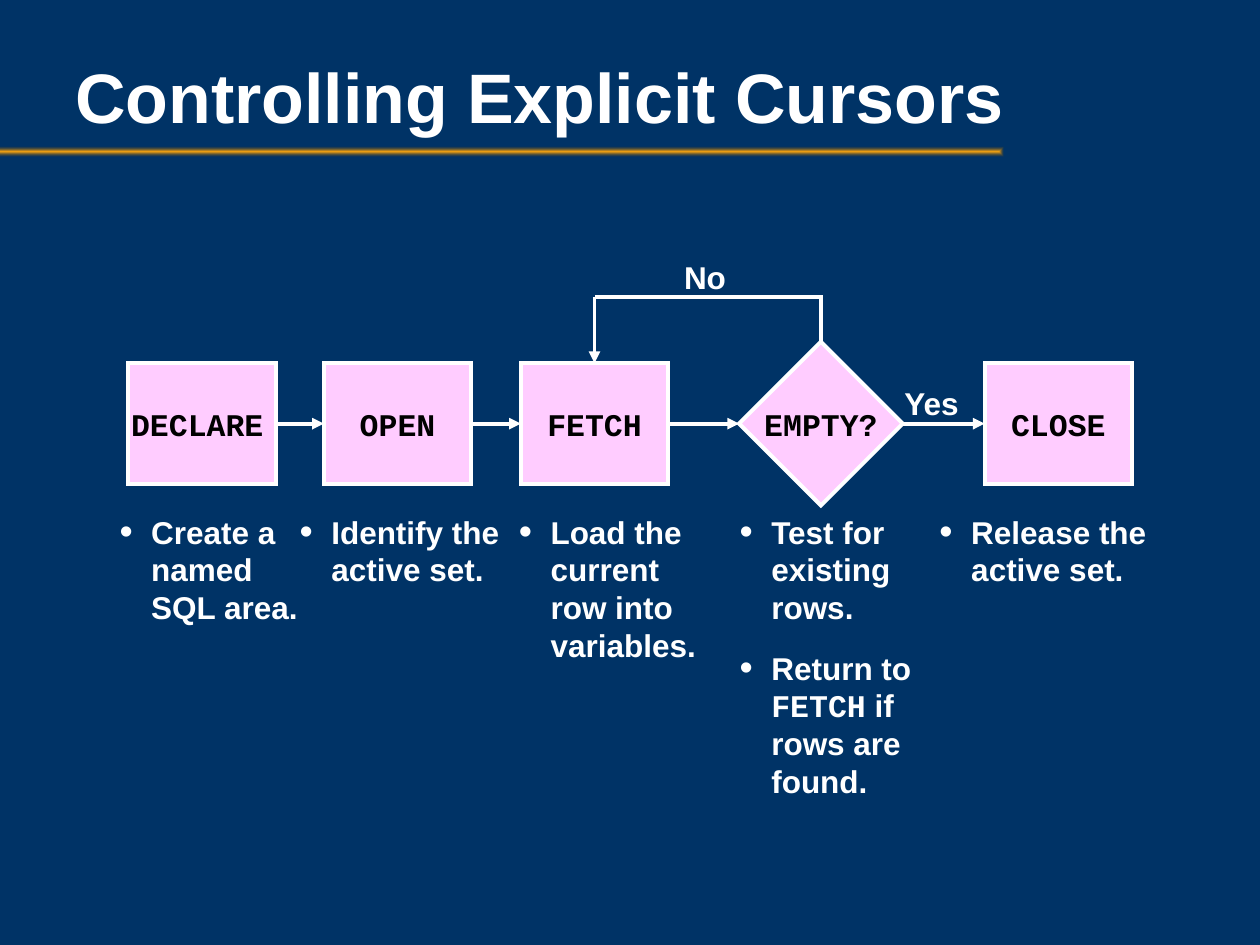
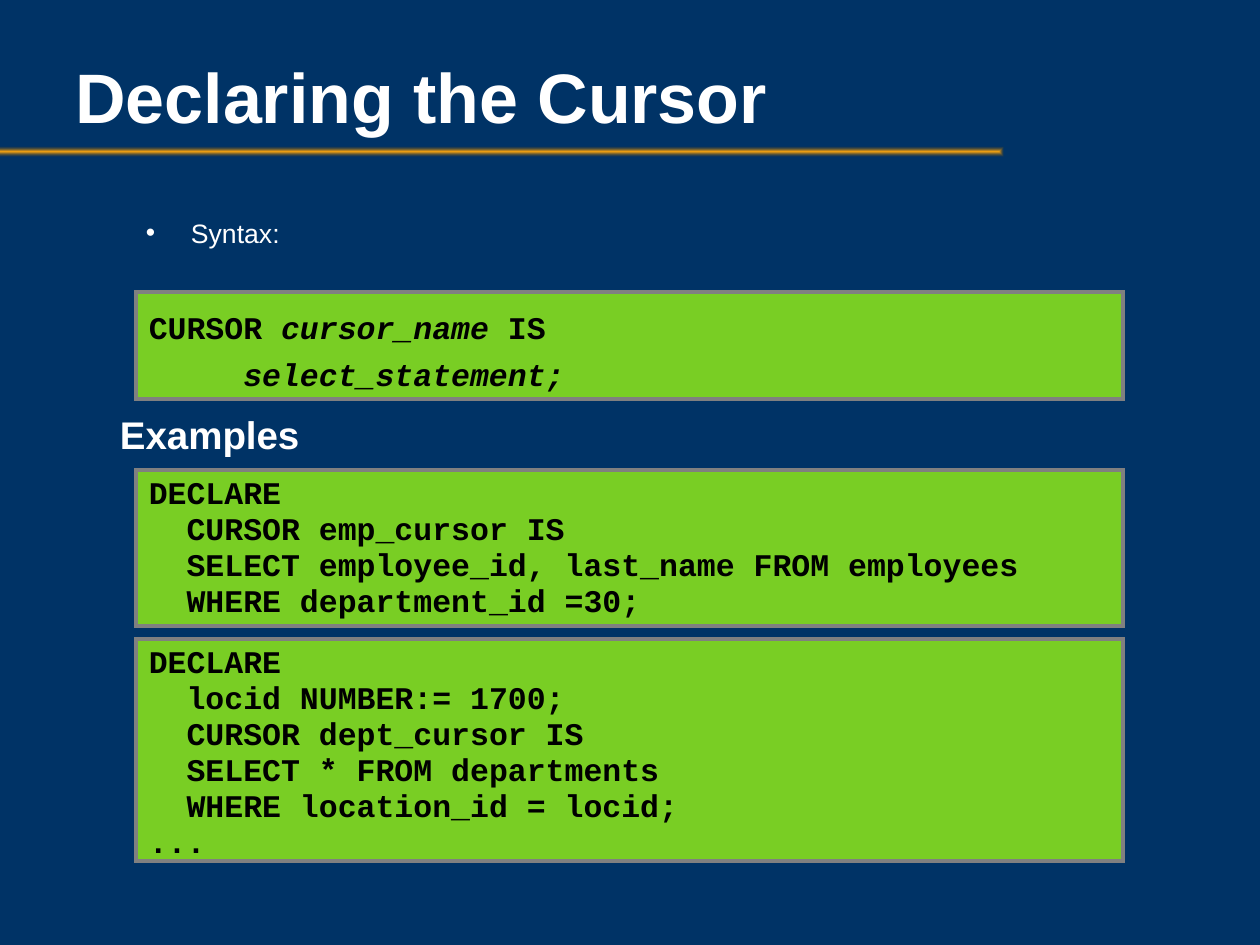
import pptx
import pptx.dml.color
import pptx.enum.shapes
import pptx.enum.text
import pptx.oxml
import pptx.oxml.ns
import pptx.util
from pptx.util import Cm

COLORS = {
    "navy": "003366",
    "white": "FFFFFF",
    "black": "000000",
    "pink": "FFCCFF",
    "green": "79CE24",
    "gray": "808080",
    "gold": "FAA712",
    "bronze": "744D08",
}
SANS, MONO = "Arial", "Courier New"
SHAPES = pptx.enum.shapes.MSO_SHAPE
ALIGN = pptx.enum.text.PP_ALIGN
MIDDLE = pptx.enum.text.MSO_ANCHOR.MIDDLE

STEP_TOP, STEP_WIDTH, STEP_HEIGHT = 7.32, 2.97, 2.44
DIAMOND_LEFT, DIAMOND_SIZE = 14.9, 3.3
FLOW_MIDDLE = STEP_TOP + STEP_HEIGHT / 2
NOTE_TOP = 10.21


def rgb(name):
    """Return the named colour."""
    return pptx.dml.color.RGBColor.from_string(COLORS[name])


def add_xml(parent, markup):
    """Append an element of the drawing namespace."""
    tag, rest = markup.split(" ", 1)
    namespace = pptx.oxml.ns.nsdecls("a")
    parent.append(pptx.oxml.parse_xml(f"<a:{tag} {namespace} {rest}"))


def style_line(line, color):
    """Give a line its colour, width and sharp corners."""
    line.color.rgb = rgb(color)
    line.width = pptx.util.Pt(2.25)
    add_xml(line._get_or_add_ln(), 'miter lim="800000"/>')


def style_para(para, size, font=SANS, color="white", bold=True):
    """Format every run of a paragraph."""
    for span in para.runs:
        span.font.size = pptx.util.Pt(size)
        span.font.name = font
        span.font.bold = bold
        span.font.color.rgb = rgb(color)


def add_spans(para, spans):
    """Add several runs to a paragraph and return them."""
    runs = [para.add_run() for _ in spans]
    for run, text in zip(runs, spans):
        run.text = text
    return runs


def add_bullet(para, margin, hanging, percent):
    """Give a paragraph a hanging white bullet."""
    props = para._p.get_or_add_pPr()
    props.set("marL", str(Cm(margin)))
    props.set("indent", str(-Cm(hanging)))
    add_xml(props, f'buClr ><a:srgbClr val="{COLORS["white"]}"/></a:buClr>')
    add_xml(props, f'buSzPct val="{percent * 1000}"/>')
    add_xml(props, 'buFont typeface="Arial"/>')
    add_xml(props, 'buChar char="•"/>')


def add_textbox(page, left, top, width, height, wrap=True):
    """Add an empty text box and return its frame."""
    frame = page.shapes.add_textbox(Cm(left), Cm(top), Cm(width), Cm(height)).text_frame
    frame.word_wrap = wrap
    return frame


def add_line_text(page, text, left, top, width, height, size=18, wrap=True):
    """Add one line of bold white text and return its frame."""
    frame = add_textbox(page, left, top, width, height, wrap)
    frame.text = text
    style_para(frame.paragraphs[0], size)
    return frame


def add_box(page, kind, left, top, width, height, fill, outline):
    """Add a filled shape with an outline."""
    box = page.shapes.add_shape(kind, Cm(left), Cm(top), Cm(width), Cm(height))
    box.shadow.inherit = False
    box.fill.solid()
    box.fill.fore_color.rgb = rgb(fill)
    style_line(box.line, outline)
    return box


def add_step(page, kind, text, left, top, width, height, align=ALIGN.CENTER):
    """Add a labelled step of the flow."""
    step = add_box(page, kind, left, top, width, height, "pink", "white")
    frame = step.text_frame
    frame.word_wrap = False
    frame.vertical_anchor = MIDDLE
    frame.text = text
    frame.paragraphs[0].alignment = align
    style_para(frame.paragraphs[0], 18, MONO, "black")
    return step


def add_arrow(page, start, end, x=0, y=0):
    """Draw an arrow between (step, side) pairs, or from a point if start is None."""
    arrow = page.shapes.add_connector(
        pptx.enum.shapes.MSO_CONNECTOR.STRAIGHT, Cm(x), Cm(y), Cm(x), Cm(y))
    if start:
        arrow.begin_connect(*start)
    arrow.end_connect(*end)
    style_line(arrow.line, "white")
    add_xml(arrow.line._get_or_add_ln(), 'tailEnd type="triangle"/>')
    add_xml(arrow._element.spPr, "effectLst />")


def add_note(page, spans, left, width, height, top=NOTE_TOP):
    """Add a bulleted note below a step; every second span is code."""
    frame = add_textbox(page, left, top, width, height)
    para = frame.paragraphs[0]
    add_bullet(para, 0.64, 0.64, 120)
    runs = add_spans(para, spans)
    style_para(para, 18)
    for run in runs[1::2]:
        run.font.name = MONO


def add_code(page, lines, top, height, spacing=0.95):
    """Add a code panel; every second span of a line is italic."""
    panel = add_box(page, SHAPES.RECTANGLE, 2.75, top, 19.89, height, "green", "gray")
    frame = panel.text_frame
    frame.vertical_anchor = pptx.enum.text.MSO_ANCHOR.TOP
    frame.margin_bottom = 0
    for number, spans in enumerate(lines):
        para = frame.add_paragraph() if number else frame.paragraphs[0]
        para.alignment = ALIGN.LEFT
        para.line_spacing = spacing
        runs = add_spans(para, spans)
        style_para(para, 18, MONO, "black")
        for run in runs[1::2]:
            run.font.italic = True


def add_page(deck, title):
    """Add a page with the shared background, gold rule and title."""
    page = deck.slides.add_slide(deck.slide_layouts[6])
    page.background.fill.solid()
    page.background.fill.fore_color.rgb = rgb("navy")
    rule = page.shapes.add_shape(
        SHAPES.RECTANGLE, Cm(-0.08), Cm(2.95), Cm(20.32), Cm(0.2))
    rule.shadow.inherit = False
    rule.line.fill.background()
    rule.fill.gradient()
    stops = rule.fill.gradient_stops
    for stop, name, position in zip(stops, ("gold", "bronze"), (0, 1)):
        stop.color.rgb = rgb(name)
        stop.position = position
    gradient = rule._element.spPr.find(pptx.oxml.ns.qn("a:gradFill"))
    add_xml(gradient.findall(".//" + pptx.oxml.ns.qn("a:srgbClr"))[1], 'alpha val="0"/>')
    gradient.remove(gradient.find(pptx.oxml.ns.qn("a:lin")))
    add_xml(gradient, 'path path="rect"><a:fillToRect l="50000" t="50000" '
                      'r="50000" b="50000"/></a:path>')
    frame = add_line_text(page, title, 1.27, 0.45, 21.79, 2.97, 40)
    frame.vertical_anchor = MIDDLE
    return page


def build_control_page(deck):
    """Build the flow of cursor steps."""
    page = add_page(deck, "Controlling Explicit Cursors")
    steps = {}
    for text, left in (("DECLARE", 2.59), ("OPEN", 6.53), ("FETCH", 10.5), ("CLOSE", 19.85)):
        align = ALIGN.RIGHT if text == "DECLARE" else ALIGN.CENTER
        steps[text] = add_step(page, SHAPES.RECTANGLE, text, left, STEP_TOP,
                               STEP_WIDTH, STEP_HEIGHT, align)
    diamond_top = FLOW_MIDDLE - DIAMOND_SIZE / 2
    steps["EMPTY?"] = add_step(page, SHAPES.DIAMOND, "EMPTY?", DIAMOND_LEFT,
                               diamond_top, DIAMOND_SIZE, DIAMOND_SIZE)

    order = ("DECLARE", "OPEN", "FETCH", "EMPTY?", "CLOSE")
    for source, target in zip(order, order[1:]):
        add_arrow(page, (steps[source], 3), (steps[target], 1))

    loop_top, fetch_x = 5.99, 10.5 + STEP_WIDTH / 2
    empty_x = DIAMOND_LEFT + DIAMOND_SIZE / 2
    builder = page.shapes.build_freeform(Cm(empty_x), Cm(diamond_top))
    builder.add_line_segments(
        [(Cm(empty_x), Cm(loop_top)), (Cm(fetch_x), Cm(loop_top))], close=False)
    loop = builder.convert_to_shape()
    loop.shadow.inherit = False
    loop.fill.background()
    style_line(loop.line, "white")
    add_arrow(page, None, (steps["FETCH"], 0), fetch_x, loop_top)

    add_line_text(page, "No", 13.54, 5.08, 1.37, 1.02, wrap=False)
    add_line_text(page, "Yes", 17.98, 7.62, 1.65, 1.02, wrap=False)

    add_note(page, ["Create a named SQL area."], 2.16, 4.29, 2.57)
    add_note(page, ["Identify the active set."], 5.79, 4.83, 2.03)
    add_note(page, ["Load the current row into variables."], 10.21, 4.19, 3.61)
    add_note(page, ["Test for existing rows."], 14.66, 4.65, 3.1)
    add_note(page, ["Return to ", "FETCH", " if rows are found."], 14.66, 4.83, 3.96, 12.95)
    add_note(page, ["Release the active set."], 18.69, 4.83, 2.03)


def build_declare_page(deck):
    """Build the syntax and the examples of a cursor declaration."""
    page = add_page(deck, "Declaring the Cursor")
    frame = add_textbox(page, 2.39, 4.24, 20.47, 0.99)
    para = frame.paragraphs[0]
    para.text = "Syntax:"
    add_bullet(para, 1.21, 0.91, 100)
    style_para(para, 15.2, bold=False)

    add_code(page, [
        ["CURSOR ", "cursor_name ", "IS"],
        ["     ", "select_statement;"],
    ], 5.89, 2.16, 1.25)

    frame = add_line_text(page, "Examples", 2.39, 8.26, 20.47, 0.99, 22)
    frame.margin_left = frame.margin_top = frame.margin_right = frame.margin_bottom = Cm(0.03)

    add_code(page, [
        ["DECLARE"],
        ["  CURSOR emp_cursor IS"],
        ["  SELECT employee_id, last_name FROM employees"],
        ["  WHERE department_id =30;"],
    ], 9.47, 3.15)
    add_code(page, [
        ["DECLARE"],
        ["  locid NUMBER:= 1700;"],
        ["  CURSOR dept_cursor IS"],
        ["  SELECT * FROM departments"],
        ["  WHERE location_id = locid;"],
        ["..."],
    ], 12.88, 4.47)


def main():
    """Build and save the deck."""
    deck = pptx.Presentation()
    deck.slide_width, deck.slide_height = Cm(25.4), Cm(19.05)
    build_control_page(deck)
    build_declare_page(deck)
    deck.save("out.pptx")


if __name__ == "__main__":
    main()
